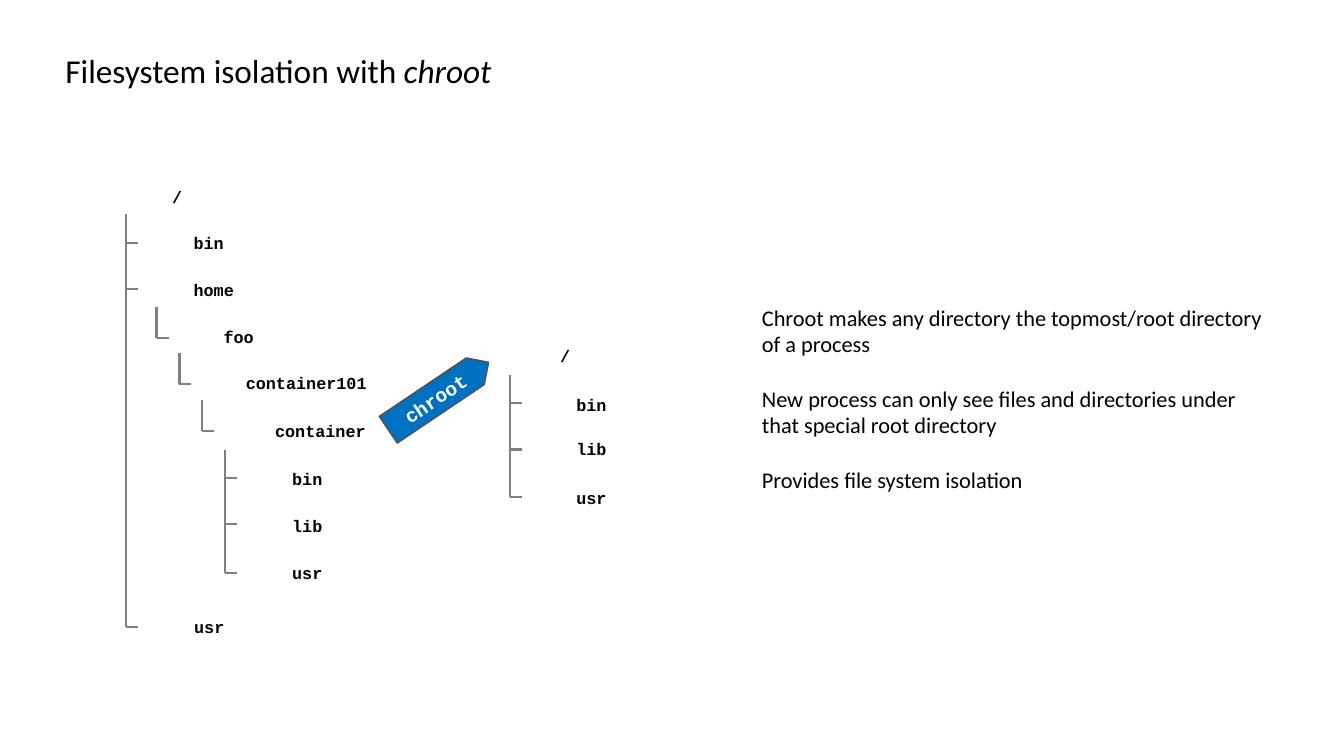
from dataclasses import dataclass

from pptx import Presentation
from pptx import util as u
from pptx.dml import color
from pptx.enum import shapes, text
from pptx.oxml import ns

COLOURS = {
    "text": "000000",
    "branch": "808080",
    "arrow": "0070C0",
    "arrow_edge": "525252",
    "arrow_text": "FFFFFF",
}
BODY_FONT, CODE_FONT = "Calibri", "Courier New"
TICK_LENGTH = 8.6
LABEL_HEIGHT = 21.8
LABEL_SIZE = 12
CHARACTER_WIDTH = 7.2
INSET = 7.2


@dataclass(frozen=True)
class Branch:
    x: float
    top: float
    ticks: tuple[float, ...]
    stem_weight: float = 1.5


@dataclass(frozen=True)
class Label:
    name: str
    left: float
    top: float


BRANCHES = (
    Branch(90, 152.6, (173.5, 206.6, 447.8), 1.25),
    Branch(111.8, 219.6, (241.2,)),
    Branch(128.2, 252, (274.3,)),
    Branch(144, 285.8, (307.8,)),
    Branch(160.8, 321.1, (341.3, 374.4, 409)),
    Branch(364, 267.8, (288, 321.1, 355)),
)

LABELS = (
    Label("/", 115.9, 129.6),
    Label("bin", 131.2, 162.7),
    Label("home", 131.2, 195.8),
    Label("foo", 152.6, 229.7),
    Label("container101", 168.5, 262.8),
    Label("container", 189.4, 296.6),
    Label("bin", 201.6, 331.2),
    Label("lib", 201.6, 365),
    Label("usr", 201.6, 398.2),
    Label("usr", 131.6, 437),
    Label("/", 393.1, 243.4),
    Label("bin", 404.6, 277.9),
    Label("lib", 404.6, 309.6),
    Label("usr", 404.6, 344.9),
)

POINTS = (
    "Chroot makes any directory the topmost/root directory of a process",
    "New process can only see files and directories under that special root directory",
    "Provides file system isolation",
)


def rgb(name: str) -> color.RGBColor:
    return color.RGBColor.from_string(COLOURS[name])


def set_font(paragraph, family: str, size: float, colour: str = "text", bold: bool = False) -> None:
    paragraph.font.name = family
    paragraph.font.size = u.Pt(size)
    paragraph.font.bold = bold
    paragraph.font.color.rgb = rgb(colour)


def add_text_frame(slide, left: float, top: float, width: float, height: float, wrap: bool = True):
    box = slide.shapes.add_textbox(u.Pt(left), u.Pt(top), u.Pt(width), u.Pt(height))
    frame = box.text_frame
    frame.word_wrap = wrap
    frame.vertical_anchor = text.MSO_ANCHOR.MIDDLE
    return frame


def draw_line(slide, x1: float, y1: float, x2: float, y2: float, weight: float = 1.5) -> None:
    line = slide.shapes.add_connector(
        shapes.MSO_CONNECTOR.STRAIGHT, u.Pt(x1), u.Pt(y1), u.Pt(x2), u.Pt(y2)
    )
    line.line.color.rgb = rgb("branch")
    line.line.width = u.Pt(weight)
    properties = line._element.spPr
    properties.append(properties.makeelement(ns.qn("a:effectLst"), {}))


def draw_branch(slide, branch: Branch) -> None:
    draw_line(slide, branch.x, branch.top, branch.x, branch.ticks[-1], branch.stem_weight)
    for y in branch.ticks:
        draw_line(slide, branch.x, y, branch.x + TICK_LENGTH, y)


def draw_label(slide, label: Label) -> None:
    width = len(label.name) * CHARACTER_WIDTH + 2 * INSET
    frame = add_text_frame(slide, label.left, label.top, width, LABEL_HEIGHT, wrap=False)
    frame.auto_size = text.MSO_AUTO_SIZE.SHAPE_TO_FIT_TEXT
    frame.text = label.name
    set_font(frame.paragraphs[0], CODE_FONT, LABEL_SIZE, bold=True)


def draw_title(slide) -> None:
    paragraph = add_text_frame(slide, 39.6, 39.6, 880.6, 28.8).paragraphs[0]
    paragraph.line_spacing = 0.7
    set_font(paragraph, BODY_FONT, 23.8)
    paragraph.add_run().text = "Filesystem isolation with "
    command = paragraph.add_run()
    command.text = "chroot"
    command.font.italic = True


def draw_arrow(slide) -> None:
    arrow = slide.shapes.add_shape(
        shapes.MSO_SHAPE.PENTAGON, u.Pt(270), u.Pt(271.4), u.Pt(86.4), u.Pt(23)
    )
    arrow.rotation = 326.1
    arrow.shadow.inherit = False
    arrow.fill.solid()
    arrow.fill.fore_color.rgb = rgb("arrow")
    arrow.line.color.rgb = rgb("arrow_edge")
    arrow.line.width = u.Pt(1)
    frame = arrow.text_frame
    frame.vertical_anchor = text.MSO_ANCHOR.MIDDLE
    frame.text = "chroot"
    paragraph = frame.paragraphs[0]
    paragraph.alignment = text.PP_ALIGN.CENTER
    set_font(paragraph, CODE_FONT, 14, "arrow_text", bold=True)


def draw_points(slide) -> None:
    frame = add_text_frame(slide, 537.1, 127.4, 375.8, 314)
    for index, point in enumerate(POINTS):
        paragraph = frame.add_paragraph() if index else frame.paragraphs[0]
        paragraph.text = point
        if index:
            paragraph.space_before = u.Pt(19.5)
        set_font(paragraph, BODY_FONT, 16)


def main() -> None:
    presentation = Presentation()
    presentation.slide_width = u.Pt(960)
    presentation.slide_height = u.Pt(540)
    slide = presentation.slides.add_slide(presentation.slide_layouts[6])
    draw_title(slide)
    for branch in BRANCHES:
        draw_branch(slide, branch)
    draw_arrow(slide)
    for label in LABELS:
        draw_label(slide, label)
    draw_points(slide)
    presentation.save("out.pptx")


if __name__ == "__main__":
    main()
